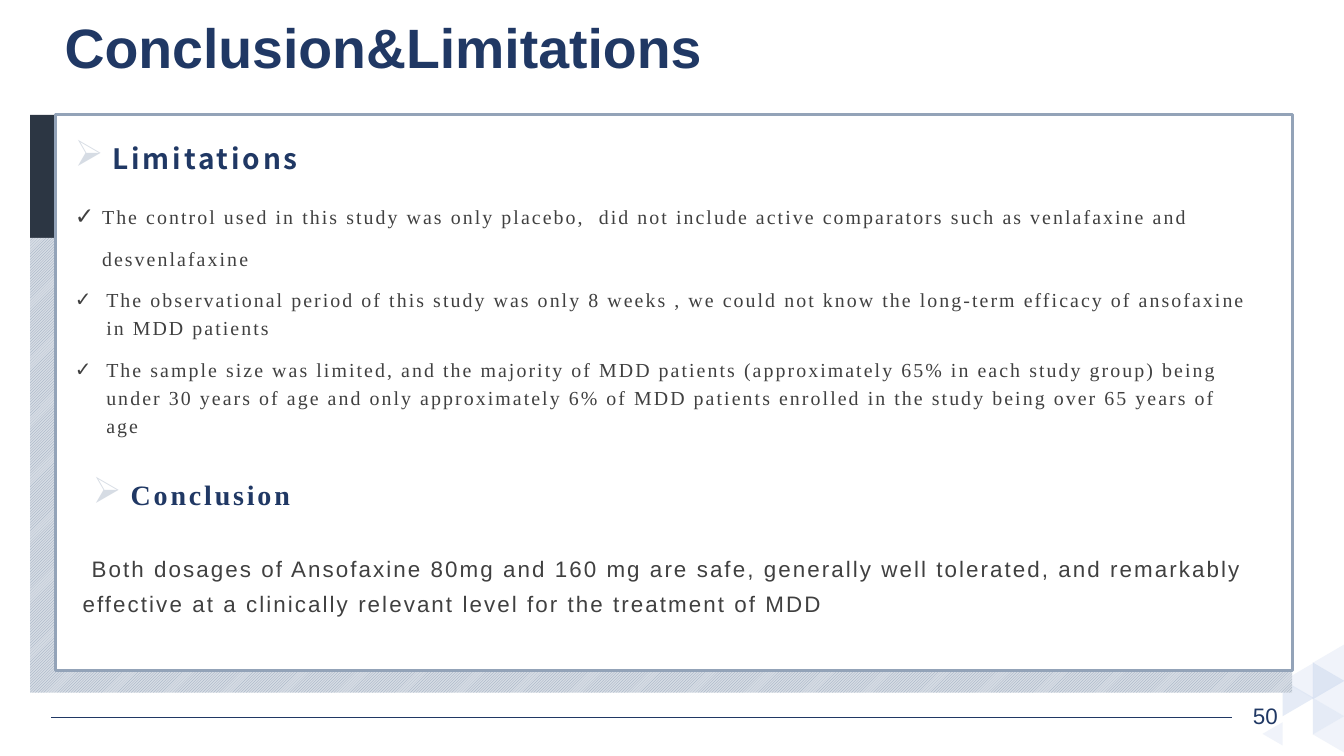
"""Build the conclusion and limitations slide."""
from dataclasses import dataclass

from lxml.etree import SubElement
from pptx import Presentation
from pptx.dml.color import RGBColor
from pptx.enum.dml import MSO_PATTERN
from pptx.enum.shapes import MSO_CONNECTOR, MSO_SHAPE
from pptx.enum.text import MSO_ANCHOR, MSO_AUTO_SIZE, PP_ALIGN
from pptx.oxml.ns import qn
from pptx.util import Pt


@dataclass(frozen=True)
class Theme:
    """Colours, fonts and type sizes."""
    navy: str = "203864"
    slate: str = "2C3643"
    steel: str = "93A3B8"
    mist: str = "D6DCE4"
    ice: str = "DAE3F3"
    grey: str = "404040"
    white: str = "FFFFFF"
    sans: str = "Arial"
    serif: str = "Times New Roman"
    heading: str = "Noto Sans CJK SC"
    title_size: float = 39.6
    heading_size: float = 20
    body_size: float = 16
    list_size: float = 14.2


THEME = Theme()
TITLE = "Conclusion&Limitations"
PAGE_NUMBER = "50"
HEADINGS = [
    ("Limitations", THEME.heading, (45.4, 98, 854, 53)),
    ("Conclusion", THEME.serif, (58.3, 338.4, 849, 37)),
]
LIMITATIONS = [
    ("The control used in this study was only placebo,  did not include active "
     "comparators such as venlafaxine and", 19.5, 117),
    ("desvenlafaxine", 19.5, None),
    ("The observational period of this study was only 8 weeks , we could not know the "
     "long-term efficacy of ansofaxine in MDD patients", 22.5, 100),
    ("The sample size was limited, and the majority of MDD patients (approximately 65% "
     "in each study group) being under 30 years of age and only approximately 6% of MDD "
     "patients enrolled in the study being over 65 years of age", 22.5, 100),
]
CONCLUSION = ("Both dosages of Ansofaxine 80mg and 160 mg are safe, generally well "
              "tolerated, and remarkably effective at a clinically relevant level for "
              "the treatment of MDD")
RIGHT, LEFT = (90, 70), (270, 40)
TRIANGLE, SMALL_TRIANGLE = (26, 22.3), (16.6, 14.4)
TRIANGLES = [
    (914.4, 487.4, TRIANGLE, RIGHT), (914.4, 475.2, TRIANGLE, LEFT),
    (936, 475.2, TRIANGLE, RIGHT), (936, 475.2, TRIANGLE, RIGHT),
    (936, 487.4, TRIANGLE, LEFT), (936, 462.2, TRIANGLE, LEFT),
    (936, 513.4, TRIANGLE, LEFT), (936, 500.4, TRIANGLE, RIGHT),
    (900.7, 517, SMALL_TRIANGLE, LEFT),
]


def color(name):
    return RGBColor.from_string(name)


def place(shape, box):
    shape.left, shape.top, shape.width, shape.height = map(Pt, box)


def add_block(slide, kind, box, fill=None, line=None):
    shape = slide.shapes.add_shape(kind, *map(Pt, box))
    shape.shadow.inherit = False
    if fill:
        shape.fill.solid()
        shape.fill.fore_color.rgb = color(fill)
    if line:
        shape.line.color.rgb = color(line)
        shape.line.width = Pt(2.25)
    else:
        shape.line.fill.background()
    return shape


def prepare(shape, margins, anchor=MSO_ANCHOR.TOP):
    frame = shape.text_frame
    frame.word_wrap = True
    frame.auto_size = MSO_AUTO_SIZE.NONE
    frame.vertical_anchor = anchor
    frame.margin_left, frame.margin_top, frame.margin_right, frame.margin_bottom = map(Pt, margins)
    return frame


def style(paragraph, name, size, ink, bold=False, tracking=0):
    font = paragraph.font
    font.name, font.size, font.bold = name, Pt(size), bold
    font.color.rgb = color(ink)
    paragraph._p.get_or_add_pPr().get_or_add_defRPr().set("spc", str(int(tracking * 100)))


def set_bullet(paragraph, margin, indent, character=None, ink=None, percent=100):
    properties = paragraph._p.get_or_add_pPr()
    properties.set("marL", str(int(Pt(margin))))
    properties.set("indent", str(int(Pt(indent))))
    if character is None:
        SubElement(properties, qn("a:buNone"))
        return
    if ink:
        SubElement(SubElement(properties, qn("a:buClr")), qn("a:srgbClr")).set("val", ink)
    SubElement(properties, qn("a:buSzPct")).set("val", str(percent * 1000))
    SubElement(properties, qn("a:buChar")).set("char", character)


def add_footer(slide):
    rule = slide.shapes.add_connector(MSO_CONNECTOR.STRAIGHT, Pt(880), Pt(512.6), Pt(36.7), Pt(512.6))
    rule.line.color.rgb = color(THEME.navy)
    rule.line.width = Pt(1)
    SubElement(rule._element.spPr, qn("a:effectLst"))
    number = slide.shapes.add_textbox(*map(Pt, (883.4, 498.2, 41, 28.8)))
    paragraph = prepare(number, (0, 3.6, 0, 3.6)).paragraphs[0]
    paragraph.text, paragraph.alignment = PAGE_NUMBER, PP_ALIGN.CENTER
    style(paragraph, THEME.sans, THEME.body_size, THEME.navy)
    for left, top, size, (rotation, opacity) in TRIANGLES:
        triangle = add_block(slide, MSO_SHAPE.ISOSCELES_TRIANGLE, (left, top, *size), THEME.ice)
        triangle.rotation = rotation
        ink = triangle._element.spPr.find(qn("a:solidFill"))[0]
        SubElement(ink, qn("a:alpha")).set("val", str(opacity * 1000))


def add_panel(slide):
    add_block(slide, MSO_SHAPE.RECTANGLE, (21.6, 82, 17.3, 186.5), THEME.slate)
    hatch = add_block(slide, MSO_SHAPE.RECTANGLE, (21.6, 170, 901.4, 324.7))
    hatch.fill.patterned()
    hatch.fill.pattern = MSO_PATTERN.LIGHT_UPWARD_DIAGONAL
    hatch.fill.fore_color.rgb = color(THEME.steel)
    hatch.fill.back_color.rgb = color(THEME.mist)
    add_block(slide, MSO_SHAPE.RECTANGLE, (39.6, 82, 883.4, 396.7), THEME.white, THEME.steel)


def add_title(slide):
    title = slide.shapes.title
    place(title, (38.9, 15, 818.6, 41.8))
    paragraph = prepare(title, (7.2, 3.6, 7.2, 3.6), MSO_ANCHOR.MIDDLE).paragraphs[0]
    paragraph.text, paragraph.alignment = TITLE, PP_ALIGN.LEFT
    paragraph.line_spacing = 0.9
    style(paragraph, THEME.sans, THEME.title_size, THEME.navy, bold=True)


def add_headings(slide):
    for text, font, box in HEADINGS:
        heading = slide.shapes.add_textbox(*map(Pt, box))
        paragraph = prepare(heading, (8, 3, 6, 3)).paragraphs[0]
        paragraph.text = text
        set_bullet(paragraph, 27, -27, "\u27a2", THEME.mist, 130)
        style(paragraph, font, THEME.heading_size, THEME.navy, bold=True, tracking=2)


def add_limitations(slide):
    body = slide.placeholders[1]
    place(body, (45.4, 143, 854.6, 175))
    frame = prepare(body, (8, 0, 6.5, 0))
    for index, (text, margin, percent) in enumerate(LIMITATIONS):
        paragraph = frame.add_paragraph() if index else frame.paragraphs[0]
        paragraph.text, paragraph.alignment = text, PP_ALIGN.LEFT
        paragraph.line_spacing, paragraph.space_before = 1.17, Pt(10)
        if percent:
            set_bullet(paragraph, margin, -margin, "\u2713", percent=percent)
        else:
            set_bullet(paragraph, margin, 0)
        style(paragraph, THEME.serif, THEME.list_size, THEME.grey, tracking=1.5)


def add_conclusion(slide):
    box = slide.shapes.add_textbox(*map(Pt, (51, 390.5, 849, 76)))
    paragraph = prepare(box, (8, 0, 6.5, 0)).paragraphs[0]
    paragraph.text = CONCLUSION
    paragraph.line_spacing, paragraph.space_before = 1.3, Pt(10)
    set_bullet(paragraph, 0, 6.5)
    style(paragraph, THEME.sans, THEME.body_size, THEME.grey, tracking=1.5)


presentation = Presentation()
presentation.slide_width, presentation.slide_height = Pt(960), Pt(540)
slide = presentation.slides.add_slide(presentation.slide_layouts[1])
for draw in (add_footer, add_title, add_panel, add_conclusion, add_headings, add_limitations):
    draw(slide)
body_element = slide.placeholders[1]._element
body_element.getparent().append(body_element)
presentation.save("out.pptx")
